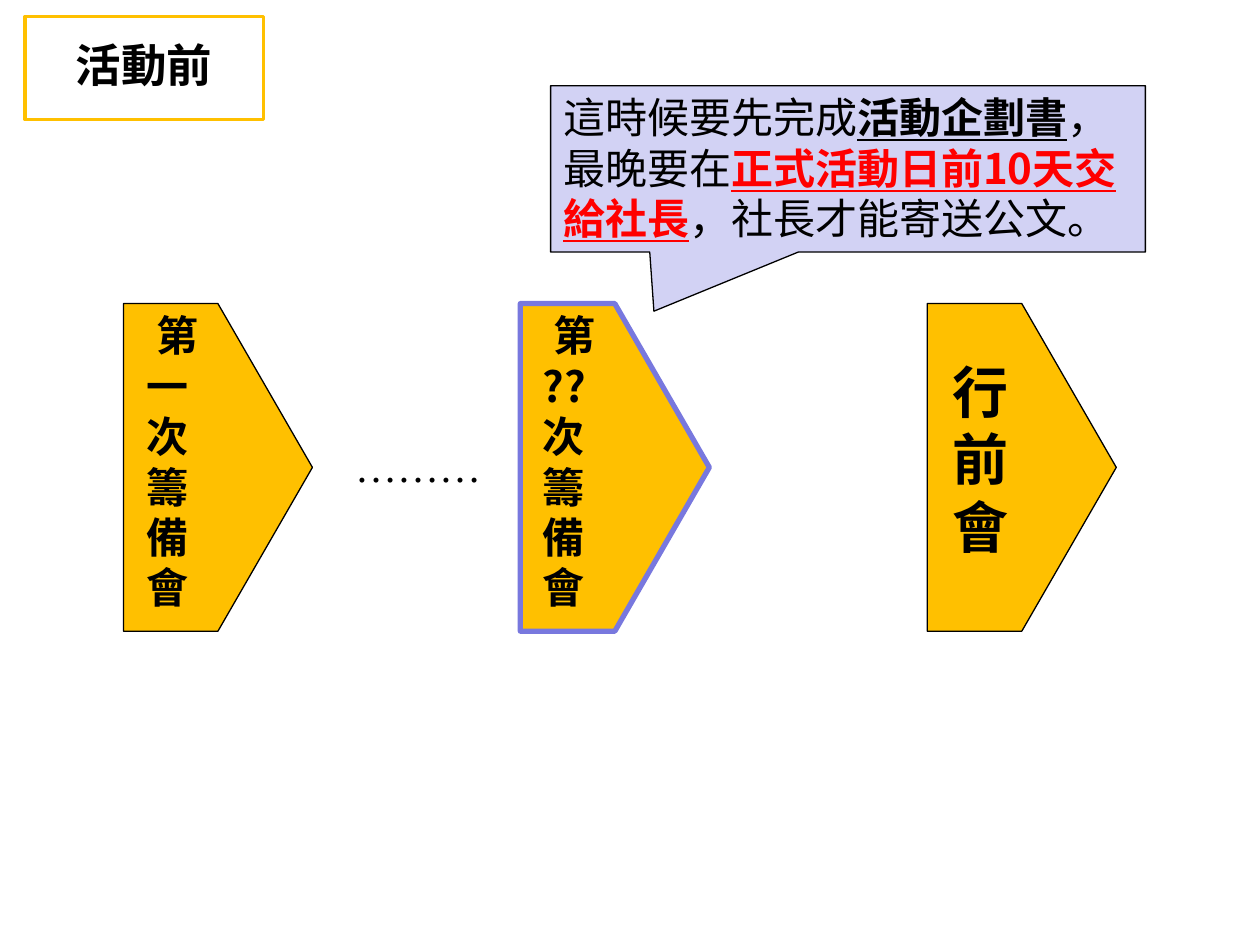
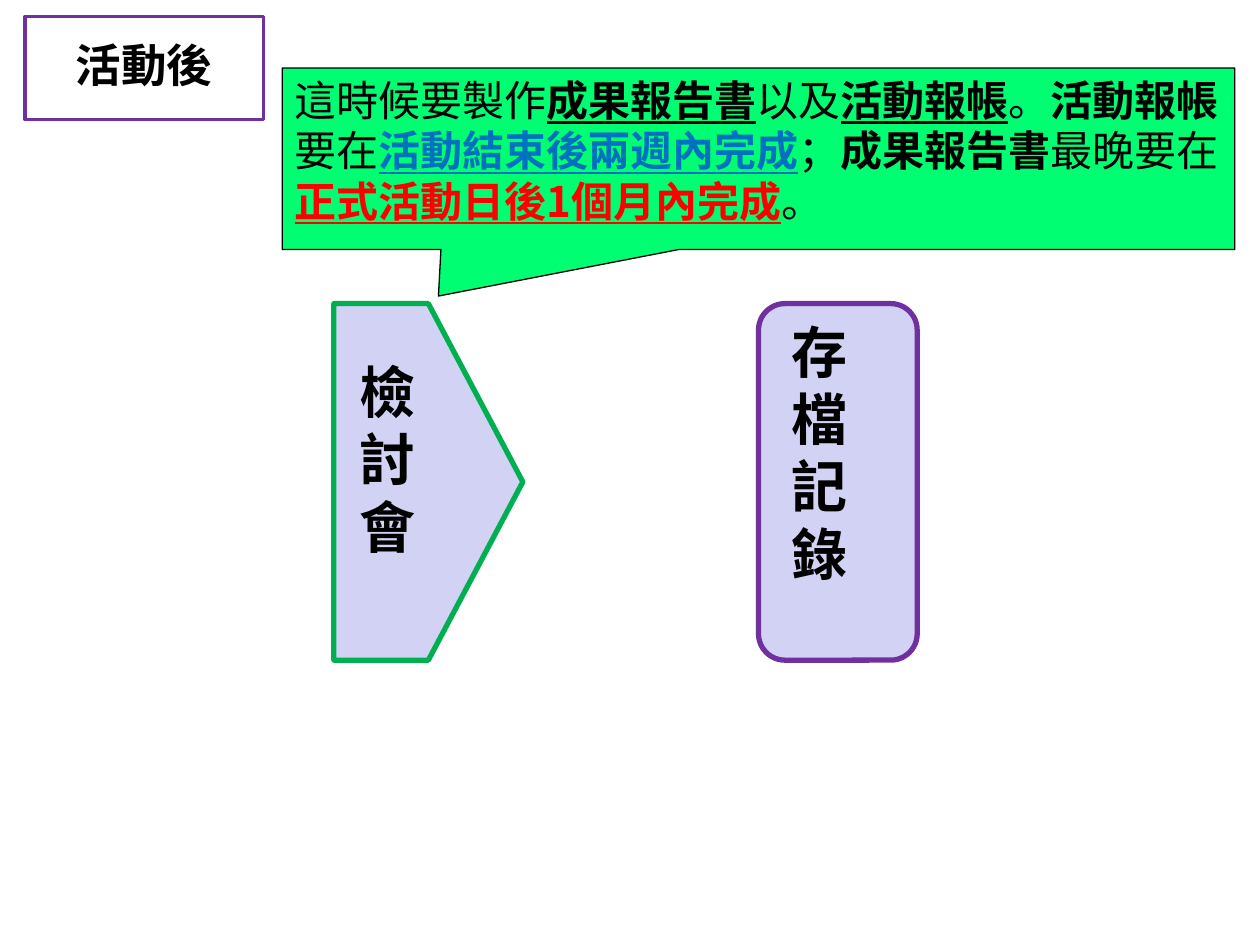
from dataclasses import dataclass

from lxml import etree
from pptx import Presentation
from pptx.dml.color import RGBColor
from pptx.enum.shapes import MSO_SHAPE
from pptx.enum.text import MSO_ANCHOR, MSO_AUTO_SIZE, PP_ALIGN
from pptx.oxml.ns import qn
from pptx.util import Emu, Pt

PENTAGON = MSO_SHAPE.PENTAGON
ROUNDED = MSO_SHAPE.ROUNDED_RECTANGLE
CALLOUT = MSO_SHAPE.RECTANGULAR_CALLOUT
TOP = MSO_ANCHOR.TOP
MIDDLE = MSO_ANCHOR.MIDDLE
LEFT = PP_ALIGN.LEFT
CENTER = PP_ALIGN.CENTER
NO_FIT = MSO_AUTO_SIZE.NONE

EMU_PER_PX = 9144
TITLE_ONLY = 5
HEAD_FONT = "Noto Sans CJK SC"
DOTS_FONT = "Times New Roman"

BLACK = "000000"
WHITE = "FFFFFF"
AMBER = "FFC000"
LAVENDER = "D2D2F4"
PERIWINKLE = "7878DE"
PURPLE = "7030A0"
GREEN = "00B050"
MINT = "00FE73"
RED = "FF0000"
BLUE = "0070C0"

STEP_TOP = 241
STEP_WIDTH = 150


@dataclass(frozen=True)
class Span:
    text: str
    bold: bool = False
    underline: bool = False
    color: str = BLACK


@dataclass(frozen=True)
class Step:
    letters: str
    left: int
    height: int
    fill: str
    line: str
    weight: float
    size: int = 32
    width: int = STEP_WIDTH
    kind: int = PENTAGON
    inset_left: int = 20
    inset_top: int = 43
    first_indent: int = 0


@dataclass(frozen=True)
class Note:
    left: int
    top: int
    width: int
    height: int
    tip_x: int
    tip_y: int
    fill: str
    spans: tuple[Span, ...]


@dataclass(frozen=True)
class Phase:
    title: str
    accent: str
    steps: tuple[Step, ...]
    note: Note
    dots: bool = False


def px(length: int) -> Emu:
    return Emu(length * EMU_PER_PX)


def rgb(value: str) -> RGBColor:
    return RGBColor.from_string(value)


def paint(shape, fill: str, line: str, weight: float) -> None:
    shape.fill.solid()
    shape.fill.fore_color.rgb = rgb(fill)
    shape.line.color.rgb = rgb(line)
    shape.line.width = Pt(weight)


def set_frame(frame, left: int = 10, top: int = 5, right: int = 10,
              bottom: int = 5, anchor=TOP) -> None:
    frame.word_wrap = True
    frame.auto_size = NO_FIT
    frame.vertical_anchor = anchor
    frame.margin_left, frame.margin_top = px(left), px(top)
    frame.margin_right, frame.margin_bottom = px(right), px(bottom)


def add_span(para, span: Span, size: int, face: str = HEAD_FONT) -> None:
    run = para.add_run()
    run.text = span.text
    font = run.font
    font.size = Pt(size)
    font.bold = span.bold
    font.underline = span.underline
    font.color.rgb = rgb(span.color)
    font.name = face
    east_asian = etree.Element(qn("a:ea"), typeface=face)
    run._r.rPr.find(qn("a:latin")).addnext(east_asian)


def add_title(page, text: str, accent: str) -> None:
    title = page.shapes.title
    title.left, title.top = px(20), px(13)
    title.width, title.height = px(189), px(82)
    paint(title, WHITE, accent, 2)
    set_frame(title.text_frame, 11, 11, 11, 11, MIDDLE)
    para = title.text_frame.paragraphs[0]
    para.alignment = CENTER
    para.line_spacing = 0.9
    add_span(para, Span(text, bold=True), 26)


def add_step(page, step: Step) -> None:
    shape = page.shapes.add_shape(step.kind, px(step.left), px(STEP_TOP),
                                  px(step.width), px(step.height))
    shape.shadow.inherit = False
    paint(shape, step.fill, step.line, step.weight)
    frame = shape.text_frame
    set_frame(frame, step.inset_left, step.inset_top)
    for index, letter in enumerate(step.letters.split()):
        para = frame.add_paragraph() if index else frame.paragraphs[0]
        para.alignment = LEFT
        if index == 0 and step.first_indent:
            para._p.get_or_add_pPr().set("marL", str(px(step.first_indent)))
        add_span(para, Span(letter, bold=True), step.size)


def add_note(page, note: Note) -> None:
    shape = page.shapes.add_shape(CALLOUT, px(note.left), px(note.top),
                                  px(note.width), px(note.height))
    shape.shadow.inherit = False
    shape.adjustments[0] = (note.tip_x - note.left) / note.width - 0.5
    shape.adjustments[1] = (note.tip_y - note.top) / note.height - 0.5
    paint(shape, note.fill, BLACK, 0.75)
    set_frame(shape.text_frame)
    para = shape.text_frame.paragraphs[0]
    para.alignment = LEFT
    for span in note.spans:
        add_span(para, span, 24)


def add_dots(page) -> None:
    box = page.shapes.add_textbox(px(272), px(345), px(126), px(50))
    set_frame(box.text_frame)
    add_span(box.text_frame.paragraphs[0], Span("………"), 24, DOTS_FONT)


def meeting(letters: str, left: int, line: str, weight: float) -> Step:
    return Step(letters, left, 260, AMBER, line, weight, size=24,
                inset_left=18, inset_top=5, first_indent=8)


def strong(text: str, color: str = BLACK) -> Span:
    return Span(text, bold=True, underline=True, color=color)


BEFORE = Phase(
    "活動前", AMBER,
    (
        meeting("第 一 次 籌 備 會", 98, BLACK, 0.75),
        meeting("第 ?? 次 籌 備 會", 413, PERIWINKLE, 3),
        Step("行 前 會", 736, 260, AMBER, BLACK, 0.75),
    ),
    Note(437, 68, 472, 132, 519, 247, LAVENDER, (
        Span("這時候要先完成"),
        strong("活動企劃書"),
        Span("，最晚要在"),
        strong("正式活動日前10天交給社長", RED),
        Span("，社長才能寄送公文。"),
    )),
    dots=True,
)

AFTER = Phase(
    "活動後", PURPLE,
    (
        Step("檢 討 會", 265, 283, LAVENDER, GREEN, 3),
        Step("存 檔 記 錄", 602, 283, LAVENDER, PURPLE, 3,
             width=126, kind=ROUNDED, inset_top=5),
    ),
    Note(224, 54, 756, 144, 348, 235, MINT, (
        Span("這時候要製作"),
        strong("成果報告書"),
        Span("以及"),
        strong("活動報帳"),
        Span("。"),
        Span("活動報帳", bold=True),
        Span("要在"),
        strong("活動結束後兩週內完成", BLUE),
        Span("；"),
        Span("成果報告書", bold=True),
        Span("最晚要在"),
        strong("正式活動日後1個月內完成", RED),
        Span("。"),
    )),
)


def add_phase(deck, phase: Phase) -> None:
    page = deck.slides.add_slide(deck.slide_layouts[TITLE_ONLY])
    add_title(page, phase.title, phase.accent)
    for step in phase.steps:
        add_step(page, step)
    if phase.dots:
        add_dots(page)
    add_note(page, phase.note)


def main() -> None:
    deck = Presentation()
    deck.slide_width, deck.slide_height = px(1000), px(750)
    for phase in (BEFORE, AFTER):
        add_phase(deck, phase)
    deck.save("out.pptx")


if __name__ == "__main__":
    main()
